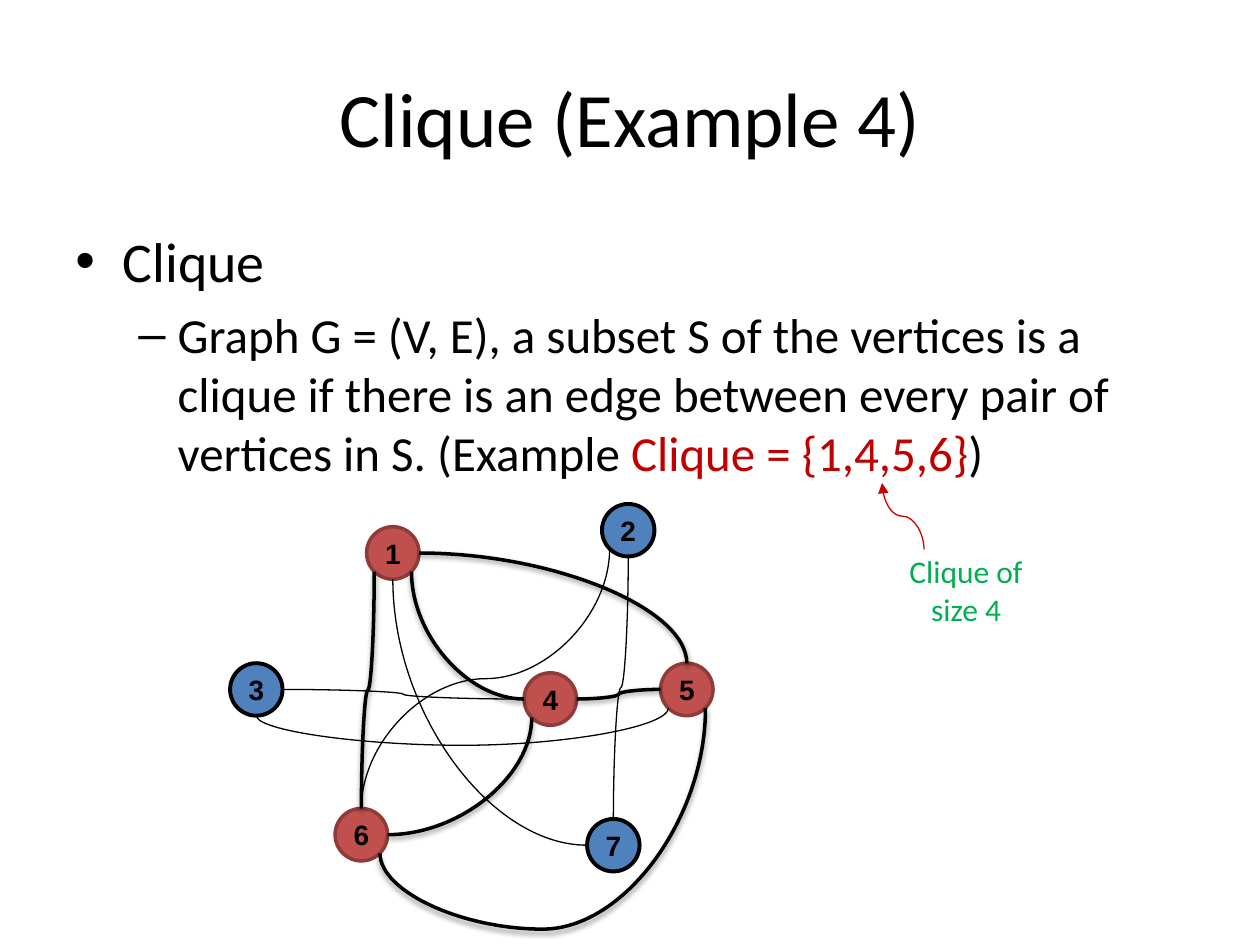
from lxml import etree
from pptx import Presentation
from pptx.dml.color import RGBColor
from pptx.enum.shapes import MSO_CONNECTOR, MSO_SHAPE
from pptx.enum.text import MSO_ANCHOR, PP_ALIGN
from pptx.oxml.ns import qn
from pptx.util import Pt

CURVE, OVAL = MSO_CONNECTOR.CURVE, MSO_SHAPE.OVAL
MID, TOP = MSO_ANCHOR.MIDDLE, MSO_ANCHOR.TOP
LEFT, CENTER = PP_ALIGN.LEFT, PP_ALIGN.CENTER

BLACK, RED, GREEN = "000000", "C00000", "00B050"
TITLE = [("Clique (Example 4)", BLACK)]
NOTE = [("Clique of size 4", GREEN)]
BODY = [
    ("•", 32, 27, -27, 0, [("Clique", BLACK)]),
    ("–", 28, 58.5, -22.5, 6, [
        ("Graph G = (V, E), a subset S of the vertices is a clique if there is "
         "an edge between every pair of vertices in S. (Example ", BLACK),
        ("Clique = {1,4,5,6}", RED),
        (")", BLACK)]),
]

SIZE = 30
NODES = {1: (209.5, 301), 3: (131.5, 379), 2: (344, 288), 6: (191.5, 462),
         7: (335.5, 468), 4: (299.5, 384.5), 5: (377.5, 379)}
CLIQUE = {1, 4, 5, 6}
SITES = {"t": (0, -1), "b": (0, 1), "l": (-1, 0), "r": (1, 0),
         "bl": (-0.71, 0.71), "br": (0.71, 0.71)}
EDGES = [
    (3, "b", 5, "bl", 426), (1, "r", 5, "t", None), (1, "br", 4, "l", None),
    (1, "bl", 6, "t", None), (1, "b", 7, "l", None), (2, "b", 7, "t", None),
    (2, "bl", 6, "t", None), (3, "r", 4, "l", None), (4, "r", 5, "l", None),
    (4, "bl", 6, "r", None), (5, "br", 6, "br", 531),
]

deck = Presentation()
deck.slide_width, deck.slide_height = Pt(720), Pt(540)
slide = deck.slides.add_slide(deck.slide_layouts[6])
shapes = slide.shapes


def color(code):
    return RGBColor.from_string(code)


def add(parent, tag, **attrs):
    return etree.SubElement(parent, qn(tag), {k: str(v) for k, v in attrs.items()})


def style(thing, attrs):
    for name, value in attrs.items():
        setattr(thing, name, value)


def write(par, runs, size, align, font="Calibri", bold=False):
    par.alignment = align
    for text, code in runs:
        run = par.add_run()
        run.text = text
        style(run.font, {"name": font, "size": Pt(size), "bold": bold})
        run.font.color.rgb = color(code)


def box(area, anchor, pad=3.6):
    frame = shapes.add_textbox(*map(Pt, area)).text_frame
    style(frame, {"word_wrap": True, "vertical_anchor": anchor,
                  "margin_top": Pt(pad), "margin_bottom": Pt(pad)})
    return frame


def curve(start, end, side, last, code, width, bend=None):
    (x1, y1), (x2, y2) = start, end
    dx, dy = x2 - x1, y2 - y1
    wide, high = abs(dx), abs(dy)
    if side:
        turn, fliph, flipv = 0, dx < 0, dy < 0
    else:
        turn, fliph, flipv = 90, dy < 0, dx > 0
        wide, high = high, wide
        if fliph != flipv:
            turn, fliph, flipv = 270, flipv, fliph
    xs = [(x1 + x2 - wide) / 2, (x1 + x2 + wide) / 2]
    ys = [(y1 + y2 - high) / 2, (y1 + y2 + high) / 2]
    line = shapes.add_connector(CURVE, Pt(xs[fliph]), Pt(ys[flipv]),
                                Pt(xs[not fliph]), Pt(ys[not flipv]))
    line.line.color.rgb = color(code)
    line.line.width = Pt(width)
    props = line._element.spPr
    if turn:
        props.find(qn("a:xfrm")).set("rot", str(turn * 60000))
    geom = props.find(qn("a:prstGeom"))
    if side != last:
        geom.set("prst", "curvedConnector2")
    elif bend:
        ratio = round((bend - y1) / dy * 100000)
        add(geom.find(qn("a:avLst")), "a:gd", name="adj1", fmla=f"val {ratio}")
    return line, add(props, "a:effectLst")


def point(node, site):
    return [p + SIZE / 2 * (1 + d) for p, d in zip(NODES[node], SITES[site])]


write(box((36, 21.6, 648, 90), MID).paragraphs[0], TITLE, 44, CENTER)

body = box((36, 126, 648, 162), TOP)
for i, (mark, size, margin, indent, gap, runs) in enumerate(BODY):
    par = body.add_paragraph() if i else body.paragraphs[0]
    par.level = i
    par.space_before = Pt(gap)
    props = par._p.get_or_add_pPr()
    props.set("marL", str(Pt(margin)))
    props.set("indent", str(Pt(indent)))
    add(props, "a:buFont", typeface="Arial")
    add(props, "a:buChar", char=mark)
    write(par, runs, size, LEFT)

write(box((504, 311, 96, 52), MID, 7.2).paragraphs[0], NOTE, 18, CENTER)
arrow, _ = curve((528, 314), (504, 276), False, False, "CC0000", 0.75)
add(arrow.line._get_or_add_ln(), "a:tailEnd", type="triangle")

for node, (x, y) in NODES.items():
    fill, edge, width = (("C0504D", "8E3B39", 2) if node in CLIQUE
                         else ("4F81BD", BLACK, 2.25))
    disc = shapes.add_shape(OVAL, Pt(x), Pt(y), Pt(SIZE), Pt(SIZE))
    disc.shadow.inherit = False
    disc.fill.solid()
    disc.fill.fore_color.rgb = color(fill)
    disc.line.color.rgb = color(edge)
    disc.line.width = Pt(width)
    style(disc.text_frame, {"word_wrap": False, "vertical_anchor": MID})
    write(disc.text_frame.paragraphs[0], [(str(node), BLACK)], 16, CENTER, "Arial", True)

for a, out, b, into, bend in EDGES:
    bold = {a, b} <= CLIQUE
    _, glow = curve(point(a, out), point(b, into), out in ("l", "r"),
                    into in ("l", "r"), BLACK, 2 if bold else 0.75, bend)
    if bold:
        shade = add(glow, "a:outerShdw", blurRad=Pt(3.1), dist=Pt(1.6),
                    dir=5400000, rotWithShape=0)
        add(add(shade, "a:srgbClr", val=BLACK), "a:alpha", val=38000)

deck.save("out.pptx")
